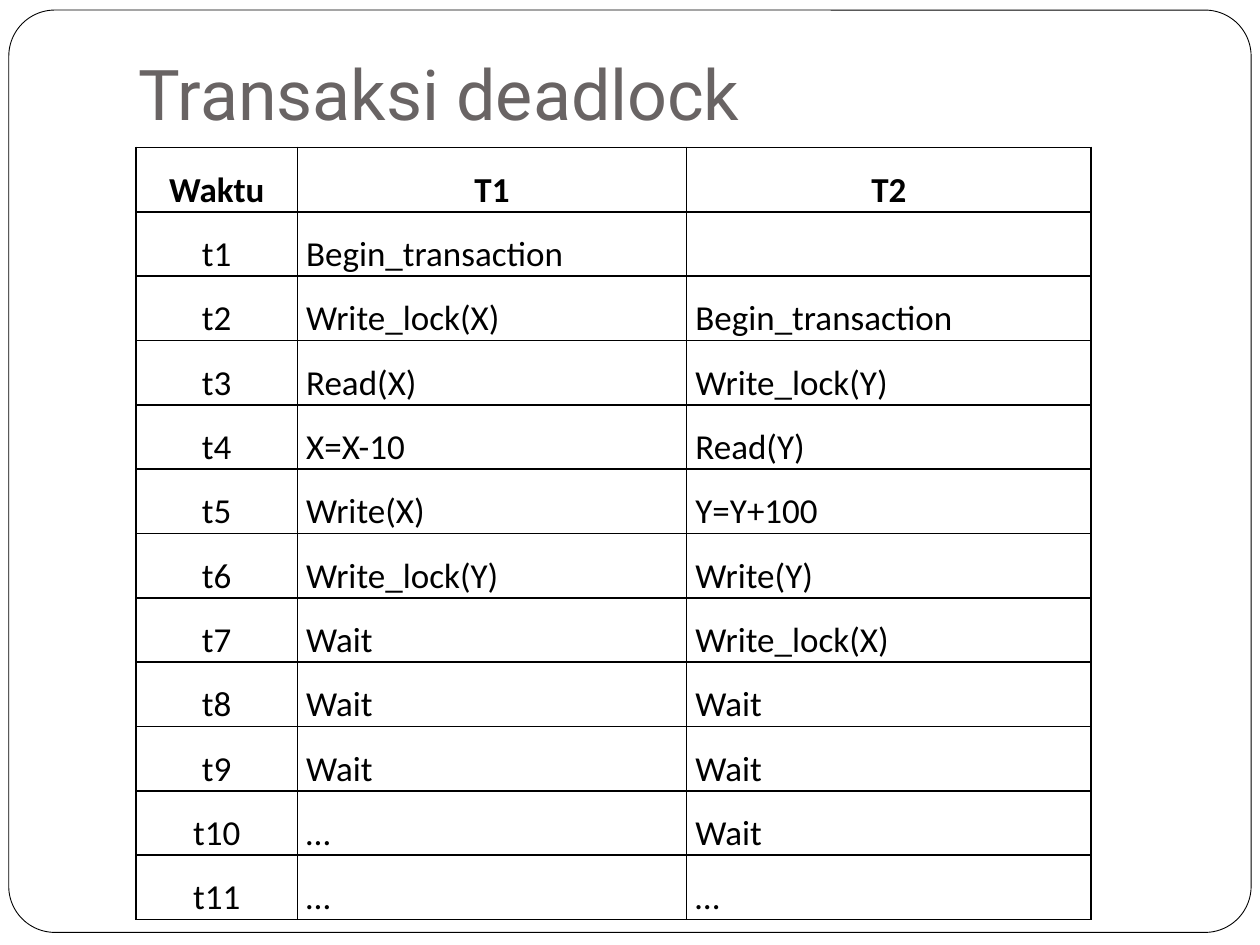
"""Builds a slide with a table of two deadlocked transactions."""
from lxml import etree
from pptx import Presentation
from pptx.dml.color import RGBColor
from pptx.enum.shapes import MSO_SHAPE
from pptx.enum.text import MSO_ANCHOR, PP_ALIGN
from pptx.oxml.ns import qn
from pptx.util import Inches, Pt

ROUNDED = MSO_SHAPE.ROUNDED_RECTANGLE
BOTTOM = MSO_ANCHOR.BOTTOM
LEFT, CENTER, JUSTIFY = PP_ALIGN.LEFT, PP_ALIGN.CENTER, PP_ALIGN.JUSTIFY
COLORS = {"paper": "FFFFFF", "ink": "000000", "title": "696464"}
COLUMN_WIDTHS = [1.28, 3.09, 3.21]
ROW_HEIGHT = 0.5
HEADER = ["Waktu", "T1", "T2"]
STEPS = [
    ("Begin_transaction", ""),
    ("Write_lock(X)", "Begin_transaction"),
    ("Read(X)", "Write_lock(Y)"),
    ("X=X-10", "Read(Y)"),
    ("Write(X)", "Y=Y+100"),
    ("Write_lock(Y)", "Write(Y)"),
    ("Wait", "Write_lock(X)"),
    ("Wait", "Wait"),
    ("Wait", "Wait"),
    ("…", "Wait"),
    ("…", "…"),
]


def rgb(name):
    return RGBColor.from_string(COLORS[name])


def set_all(target, values):
    for name, value in values.items():
        setattr(target, name, value)


class SlideBuilder:
    """Holds the style and the current slide."""

    title_font = {"name": "Roboto", "size": Pt(40), "bold": False}
    cell_font = {"name": "Calibri", "size": Pt(20)}
    title_frame = {
        "margin_left": Inches(0.1), "margin_right": Inches(0.1),
        "margin_top": Inches(0.05), "margin_bottom": Inches(0.1),
        "vertical_anchor": BOTTOM, "word_wrap": True,
    }
    cell_margins = {
        "margin_left": Inches(0.07), "margin_right": Inches(0.07),
        "margin_top": 0, "margin_bottom": 0,
    }

    def __init__(self, prs):
        self.s = prs.slides.add_slide(prs.slide_layouts[5])

    def frame(self, left, top, width, height):
        sp = self.s.shapes.add_shape(
            ROUNDED, Inches(left), Inches(top), Inches(width), Inches(height))
        sp.adjustments[0] = 0.05
        sp.shadow.inherit = False
        sp.fill.solid()
        sp.fill.fore_color.rgb = rgb("paper")
        sp.line.color.rgb = rgb("ink")
        sp.line.width = Pt(0.5)
        self.s.shapes.title._element.addprevious(sp._element)

    def title(self, text, left, top, width, height):
        sp = self.s.shapes.title
        set_all(sp, {"left": Inches(left), "top": Inches(top),
                     "width": Inches(width), "height": Inches(height)})
        set_all(sp.text_frame, self.title_frame)
        self.add_text(sp.text_frame, text, self.title_font, "title", LEFT)

    def add_text(self, tf, text, font, color, align):
        p = tf.paragraphs[0]
        p.alignment = align
        r = p.add_run()
        r.text = text
        set_all(r.font, font)
        r.font.color.rgb = rgb(color)
        return p

    def borders(self, cell):
        tc_pr = cell._tc.get_or_add_tcPr()
        for index, side in enumerate(("lnL", "lnR", "lnT", "lnB")):
            ln = etree.Element(qn(f"a:{side}"), w=str(Pt(1)))
            fill = etree.SubElement(ln, qn("a:solidFill"))
            etree.SubElement(fill, qn("a:srgbClr"), val=COLORS["ink"])
            tc_pr.insert(index, ln)

    def table(self, rows, left, top):
        table = self.s.shapes.add_table(
            len(rows), len(COLUMN_WIDTHS), Inches(left), Inches(top),
            Inches(sum(COLUMN_WIDTHS)), Inches(ROW_HEIGHT * len(rows))).table
        set_all(table, {"first_row": False, "horz_banding": False})
        for column, width in zip(table.columns, COLUMN_WIDTHS):
            column.width = Inches(width)
        for i, row in enumerate(rows):
            for j, text in enumerate(row):
                cell = table.cell(i, j)
                set_all(cell, self.cell_margins)
                cell.fill.background()
                self.borders(cell)
                if text:
                    align = CENTER if i == 0 or j == 0 else JUSTIFY
                    font = {**self.cell_font, "bold": i == 0}
                    p = self.add_text(cell.text_frame, text, font, "ink", align)
                    p.line_spacing = 1.5


def main():
    prs = Presentation()
    prs.slide_width, prs.slide_height = Inches(10), Inches(7.5)
    builder = SlideBuilder(prs)
    builder.frame(0.07, 0.08, 9.86, 7.32)
    builder.title("Transaksi deadlock", 1, 0.3, 8.5, 0.87)
    steps = [(f"t{n}", *step) for n, step in enumerate(STEPS, 1)]
    builder.table([HEADER, *steps], 1.08, 1.17)
    prs.save("out.pptx")


if __name__ == "__main__":
    main()
